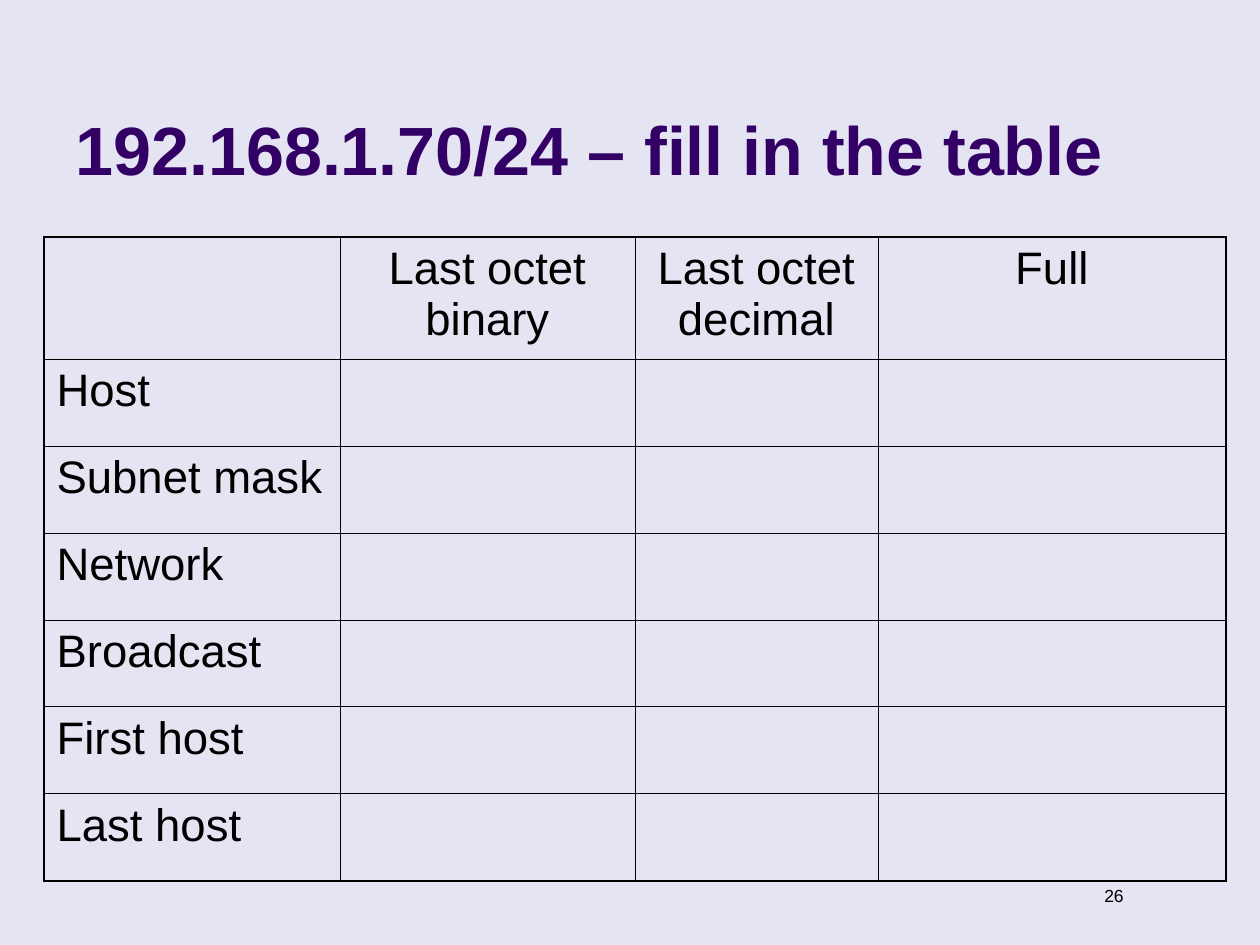
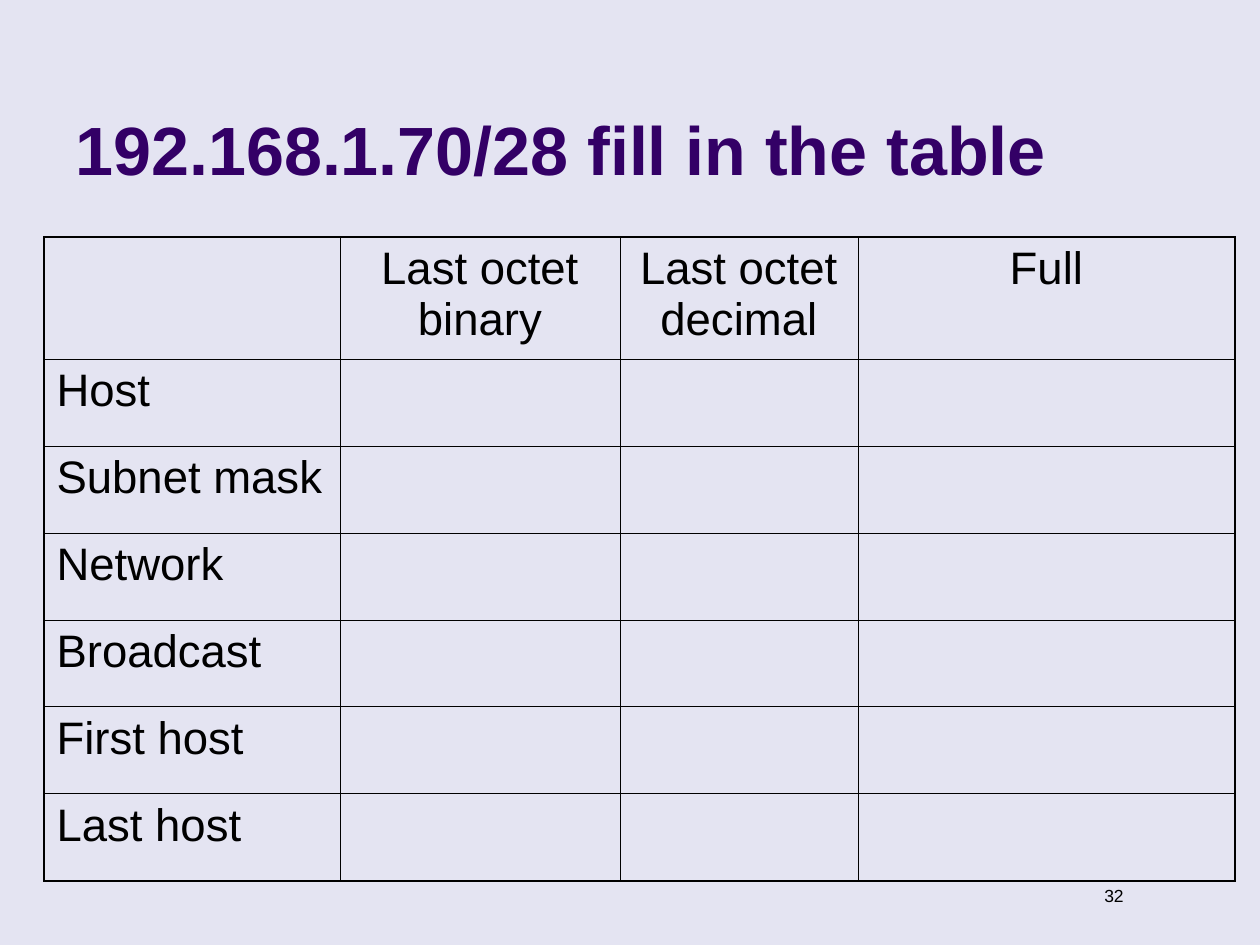
"""Builds two subnet worksheet slides, each with a table to fill in."""
from lxml import etree
from pptx import Presentation
from pptx.dml.color import RGBColor
from pptx.enum.text import MSO_ANCHOR, PP_ALIGN
from pptx.oxml.ns import qn
from pptx.util import Pt

LEFT, MID, RIGHT = PP_ALIGN.LEFT, PP_ALIGN.CENTER, PP_ALIGN.RIGHT
TOP, LOW = MSO_ANCHOR.TOP, MSO_ANCHOR.BOTTOM
SCALE = 914400 / 126
BACK, INK, HEAD = "E4E4F2", "000000", "330066"
THIN, THICK = 0.45, 1.08
HIGH = [122] + [87] * 6
COLS = ["", "Last octet binary", "Last octet decimal", "Full"]
ROWS = ["", "Host", "Subnet mask", "Network", "Broadcast", "First host", "Last host"]
STYLES = {
    "title": {"size": Pt(39), "bold": True, "name": "Arial"},
    "cell": {"size": Pt(26), "bold": False, "name": "Arial"},
    "page": {"size": Pt(10), "bold": False, "name": "Arial"},
}
SLIDES = [
    ("192.168.1.70/24 \u2013 fill in the table", 1103, [296, 295, 243, 348], "26"),
    ("192.168.1.70/28 fill in the table", 1040, [296, 280, 238, 377], "32"),
]


def emu(*sizes):
    return [round(size * SCALE) for size in sizes]


def write(frame, text, style, color, align, gap):
    frame.word_wrap = True
    para = frame.paragraphs[0]
    para.alignment = align
    para.space_before = Pt(gap)
    run = para.add_run()
    run.text = text
    for key, value in STYLES[style].items():
        setattr(run.font, key, value)
    run.font.color.rgb = RGBColor.from_string(color)


deck = Presentation()
deck.slide_width, deck.slide_height = emu(1260, 945)
for title, width, wide, page in SLIDES:
    slide = deck.slides.add_slide(deck.slide_layouts[6])
    fill = slide.background.fill
    fill.solid()
    fill.fore_color.rgb = RGBColor.from_string(BACK)

    labels = [
        ((1057, 879, 79, 34), page, "page", INK, RIGHT, 6.2, TOP),
        ((63, 16, width, 179), title, "title", HEAD, LEFT, 0, LOW),
    ]
    for area, text, style, color, align, gap, anchor in labels:
        frame = slide.shapes.add_textbox(*emu(*area)).text_frame
        frame.vertical_anchor = anchor
        write(frame, text, style, color, align, gap)

    area = emu(44, 237, sum(wide), sum(HIGH))
    grid = slide.shapes.add_table(len(ROWS), len(COLS), *area).table
    grid.first_row = grid.horz_banding = False
    for col, size in zip(grid.columns, emu(*wide)):
        col.width = size
    for row, size in zip(grid.rows, emu(*HIGH)):
        row.height = size

    for r, name in enumerate(ROWS):
        for c, label in enumerate(COLS):
            cell = grid.cell(r, c)
            text = label if r == 0 else name if c == 0 else ""
            if text:
                align = MID if r == 0 else LEFT
                write(cell.text_frame, text, "cell", INK, align, 6.5)
            edges = {
                "L": c == 0,
                "R": c == len(COLS) - 1,
                "T": r == 0,
                "B": r == len(ROWS) - 1,
            }
            props = cell._tc.get_or_add_tcPr()
            for side, outer in edges.items():
                weight = Pt(THICK if outer else THIN)
                line = etree.SubElement(props, qn("a:ln" + side), w=str(weight))
                paint = etree.SubElement(line, qn("a:solidFill"))
                etree.SubElement(paint, qn("a:srgbClr"), val=INK)
            cell.fill.background()

deck.save("out.pptx")
